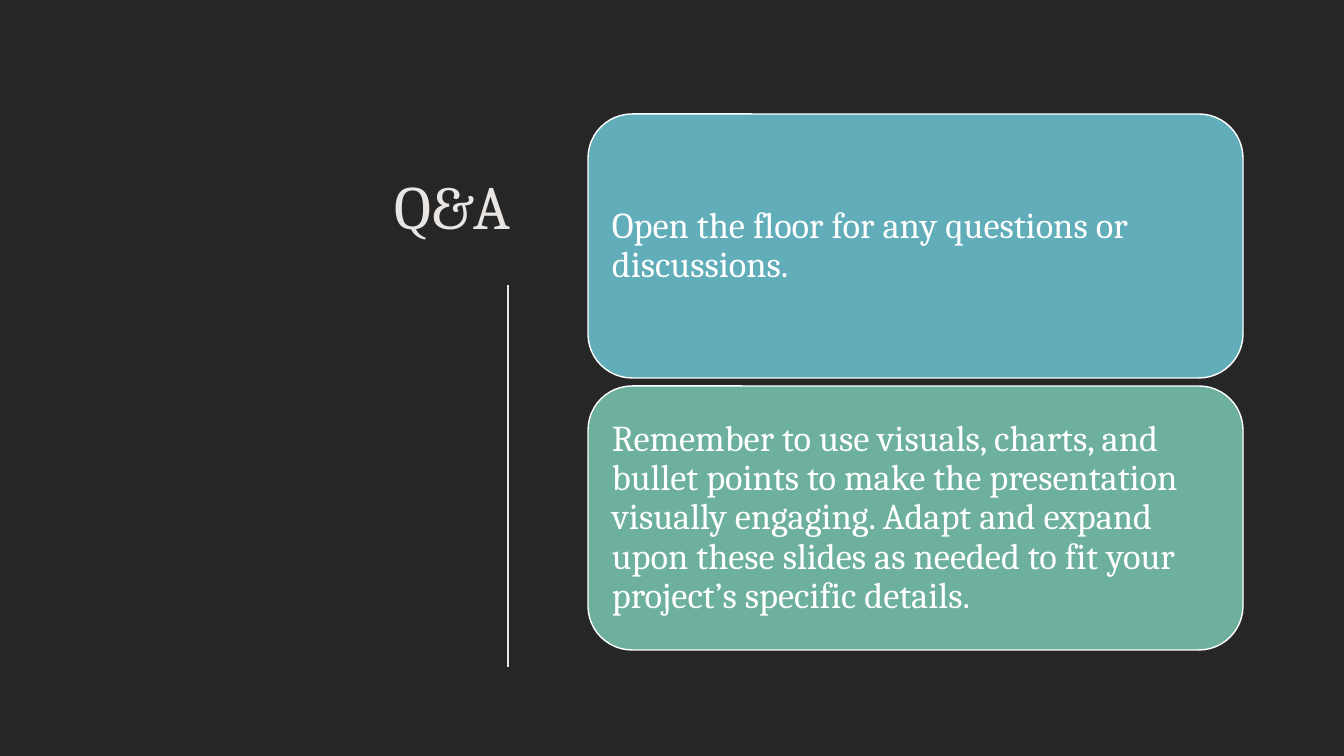
from pptx import Presentation
from pptx.dml.color import RGBColor
from pptx.enum.shapes import MSO_CONNECTOR, MSO_SHAPE
from pptx.enum.text import MSO_ANCHOR, PP_ALIGN
from pptx.oxml.ns import qn
from pptx.util import Pt
from lxml import etree

ROUNDED = MSO_SHAPE.ROUNDED_RECTANGLE
STRAIGHT = MSO_CONNECTOR.STRAIGHT
LEFT, RIGHT = PP_ALIGN.LEFT, PP_ALIGN.RIGHT
MIDDLE, BOTTOM = MSO_ANCHOR.MIDDLE, MSO_ANCHOR.BOTTOM
PX = 914400 / 100.8


def px(*lengths):
    return [round(n * PX) for n in lengths]


def add_text(sp, text, size, color, align=LEFT, anchor=MIDDLE, spacing=0.9,
             inset=(10, 5)):
    tf = sp.text_frame
    tf.word_wrap = True
    tf.vertical_anchor = anchor
    tf.margin_left, tf.margin_top = tf.margin_right, tf.margin_bottom = px(*inset)
    p = tf.paragraphs[0]
    p.alignment = align
    p.line_spacing = spacing
    r = p.add_run()
    r.text = text
    r.font.name = "Cambria"
    r.font.size = Pt(size)
    r.font.color.rgb = RGBColor.from_string(color)


prs = Presentation()
prs.slide_width, prs.slide_height = px(1344, 756)
s = prs.slides.add_slide(prs.slide_layouts[6])
s.background.fill.solid()
s.background.fill.fore_color.rgb = RGBColor.from_string("262626")

# Title
title = s.shapes.add_textbox(*px(87, 89, 434, 159))
add_text(title, "Q&A", 44, "E8E5E2", align=RIGHT, anchor=BOTTOM)

# Vertical rule under the title
rule = s.shapes.add_connector(STRAIGHT, *px(508, 285, 508, 667))
rule.line.color.rgb = RGBColor.from_string("E8E5E2")
rule.line.width = Pt(0.85)
etree.SubElement(rule._element.spPr, qn("a:effectLst"))

# Stacked cards
cards = [
    ("61ADB9", "Open the floor for any questions or discussions."),
    ("6DB09D", "Remember to use visuals, charts, and bullet points to make the "
               "presentation visually engaging. Adapt and expand upon these "
               "slides as needed to fit your project’s specific details."),
]
for i, (color, text) in enumerate(cards):
    card = s.shapes.add_shape(ROUNDED, *px(588, 114 + 272 * i, 655, 264))
    card.shadow.inherit = False
    card.fill.solid()
    card.fill.fore_color.rgb = RGBColor.from_string(color)
    card.line.color.rgb = RGBColor.from_string("FFFFFF")
    card.line.width = Pt(1)
    add_text(card, text, 26, "FFFFFF", inset=(11, 11))

prs.save("out.pptx")
